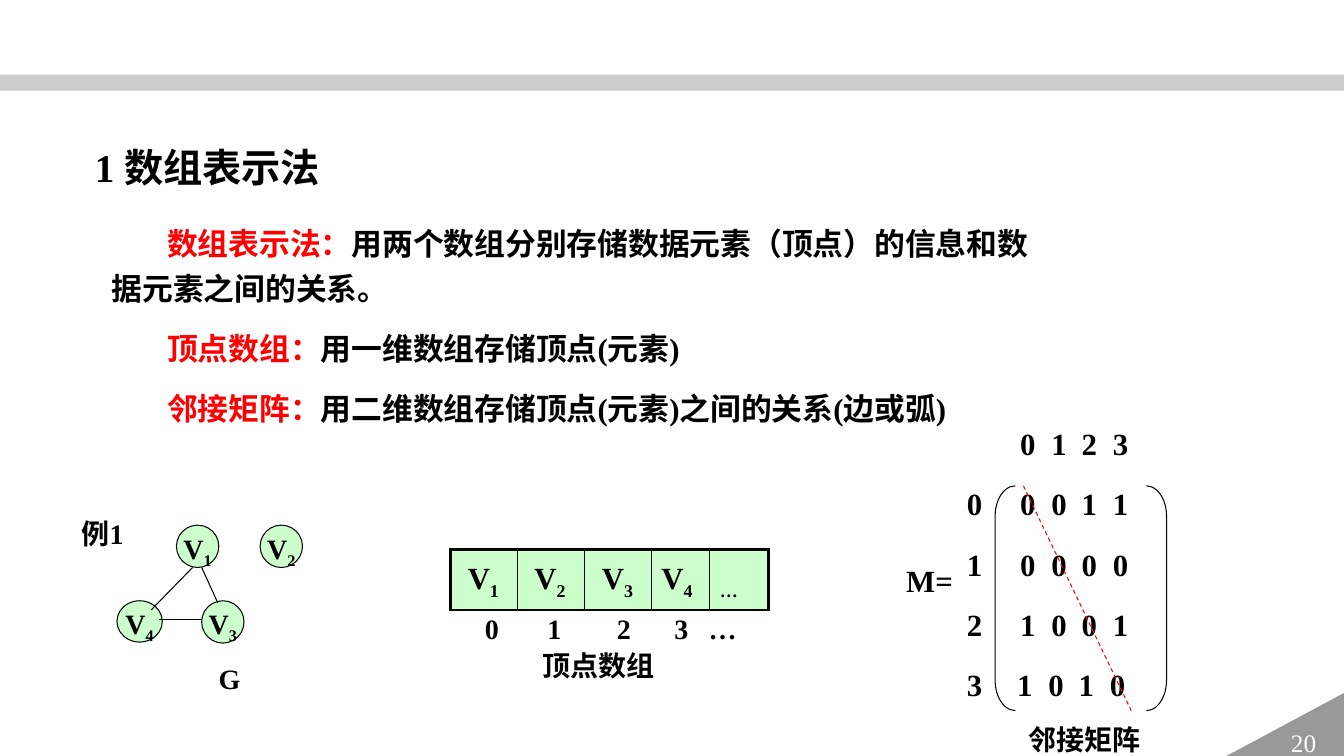
from dataclasses import dataclass
from typing import Optional, Sequence

from lxml.etree import SubElement
from pptx import Presentation
from pptx.dml.color import RGBColor
from pptx.enum.dml import MSO_LINE
from pptx.enum.shapes import MSO_CONNECTOR, MSO_SHAPE
from pptx.enum.text import MSO_ANCHOR, MSO_AUTO_SIZE, PP_ALIGN
from pptx.oxml.ns import qn
from pptx.util import Emu, Pt

PX = 9144  # 100 px to the inch
FONT = "Times New Roman"
BLACK, WHITE, RED, GREEN = "000000", "FFFFFF", "FF0000", "CCFFCC"


@dataclass(frozen=True)
class Box:
    left: int
    top: int
    width: int
    height: int


@dataclass(frozen=True)
class Piece:
    text: str
    color: str = BLACK
    subscript: bool = False


@dataclass(frozen=True)
class Line:
    pieces: Sequence[Piece]
    tabs: Sequence[int] = ()
    indent: int = 0


@dataclass(frozen=True)
class Vertex:
    number: int
    box: Box


@dataclass(frozen=True)
class Edge:
    x1: int
    y1: int
    x2: int
    y2: int


@dataclass(frozen=True)
class Label:
    text: str
    box: Box
    size: int = 20
    wrap: bool = False
    tabs: Sequence[int] = ()


def px(length: int) -> Emu:
    return Emu(length * PX)


def place(box: Box) -> tuple:
    return px(box.left), px(box.top), px(box.width), px(box.height)


def rgb(color: str) -> RGBColor:
    return RGBColor.from_string(color)


def vertex_name(number: int) -> Line:
    return Line([Piece("V"), Piece(str(number), subscript=True)])


def write(frame, lines: Sequence[Line], size: int = 20, bold: bool = True,
          align=PP_ALIGN.LEFT, spacing: float = 1.2, gap: float = 0.26) -> None:
    """Fill a text frame; the gap around paragraphs is a share of the size."""
    for index, line in enumerate(lines):
        paragraph = frame.paragraphs[0] if index == 0 else frame.add_paragraph()
        paragraph.alignment = align
        paragraph.line_spacing = spacing
        paragraph.space_before = Pt(size * gap if index else 0)
        paragraph.space_after = Pt(size * gap)
        properties = paragraph._p.get_or_add_pPr()
        if line.indent:
            properties.set("marL", "0")
            properties.set("indent", str(px(line.indent)))
        if line.tabs:
            tab_list = SubElement(properties, qn("a:tabLst"))
            for stop in line.tabs:
                SubElement(tab_list, qn("a:tab"), pos=str(px(stop)), algn="l")
        for piece in line.pieces:
            run = paragraph.add_run()
            run.text = piece.text
            run.font.name, run.font.size, run.font.bold = FONT, Pt(size), bold
            run.font.color.rgb = rgb(piece.color)
            if piece.subscript:
                run.font._element.set("baseline", "-25000")


def add_text(slide, box: Box, lines: Sequence[Line], wrap: bool = True, **text_format) -> None:
    frame = slide.shapes.add_textbox(*place(box)).text_frame
    frame.word_wrap = wrap
    write(frame, lines, **text_format)


def add_figure(slide, kind, box: Box, fill: Optional[str] = None, line: Optional[str] = None):
    shape = slide.shapes.add_shape(kind, *place(box))
    shape.shadow.inherit = False
    if fill:
        shape.fill.solid()
        shape.fill.fore_color.rgb = rgb(fill)
    else:
        shape.fill.background()
    if line:
        shape.line.color.rgb = rgb(line)
        shape.line.width = Pt(0.75)
    else:
        shape.line.fill.background()
    return shape


def add_edge(slide, edge: Edge, color: str = BLACK, dashed: bool = False) -> None:
    connector = slide.shapes.add_connector(
        MSO_CONNECTOR.STRAIGHT, px(edge.x1), px(edge.y1), px(edge.x2), px(edge.y2))
    connector.line.color.rgb = rgb(color)
    connector.line.width = Pt(0.75)
    if dashed:
        connector.line.dash_style = MSO_LINE.DASH
    SubElement(connector._element.spPr, qn("a:effectLst"))


def add_border(cell, side: str, width: float) -> None:
    border = SubElement(cell._tc.get_or_add_tcPr(), qn(f"a:ln{side}"), w=str(Pt(width)))
    SubElement(SubElement(border, qn("a:solidFill")), qn("a:srgbClr"), val=BLACK)


def add_vertex_array(slide, box: Box, widths: Sequence[int]) -> None:
    last = len(widths) - 1
    table = slide.shapes.add_table(1, len(widths), *place(box)).table
    table.first_row = table.horz_banding = False
    table.rows[0].height = px(box.height)
    for index, width in enumerate(widths):
        table.columns[index].width = px(width)
        cell = table.cell(0, index)
        add_border(cell, "L", 1 if index else 2.25)
        add_border(cell, "R", 1 if index < last else 2.25)
        add_border(cell, "T", 2.25)
        add_border(cell, "B", 2.25)
        cell.fill.solid()
        cell.fill.fore_color.rgb = rgb(GREEN)
        cell.margin_left = px(17 if index < 3 else 10)
        ellipsis = Line([Piece("…", subscript=True)])
        write(cell.text_frame, [vertex_name(index + 1) if index < last else ellipsis], size=22)


VERTICES = [Vertex(1, Box(175, 521, 42, 42)), Vertex(4, Box(116, 596, 45, 41)),
            Vertex(3, Box(200, 596, 42, 42)), Vertex(2, Box(258, 521, 42, 42))]
EDGES = [Edge(191, 563, 150, 605), Edge(200, 563, 216, 598), Edge(158, 615, 200, 615)]
LABELS = [Label("G", Box(207, 645, 42, 47)),
          Label("例1", Box(71, 501, 62, 47), wrap=True),
          Label("M=", Box(889, 545, 67, 51), size=22),
          Label("邻接矩阵", Box(1010, 705, 132, 47)),
          Label("顶点数组", Box(528, 632, 132, 47)),
          Label("0\t1\t2\t3\t…", Box(471, 595, 301, 50), wrap=True, tabs=(62, 131, 188, 222))]
MATRIX = [("", "0123", 53), ("0", "0011", 53), ("1", "0000", 53),
          ("2", "1001", 53), ("3", "1010", 50)]
DEFINITIONS = [("数组表示法：", "用两个数组分别存储数据元素（顶点）的信息和数据元素之间的关系。"),
               ("顶点数组：", "用一维数组存储顶点(元素)"),
               ("邻接矩阵：", "用二维数组存储顶点(元素)之间的关系(边或弧)")]


def main() -> None:
    presentation = Presentation()
    presentation.slide_width, presentation.slide_height = px(1333), px(750)
    slide = presentation.slides.add_slide(presentation.slide_layouts[5])

    # Header band and page number corner
    band = add_figure(slide, MSO_SHAPE.RECTANGLE, Box(0, 74, 1333, 16), "A6A6A6")
    band_color = band._element.spPr.find(qn("a:solidFill")).find(qn("a:srgbClr"))
    SubElement(band_color, qn("a:alpha"), val="56000")
    corner = add_figure(slide, MSO_SHAPE.RIGHT_TRIANGLE, Box(1211, 687, 123, 66), "999999")
    corner._element.spPr.xfrm.set("flipH", "1")
    write(corner.text_frame, [Line([Piece("20", WHITE)])], size=18, bold=False,
          align=PP_ALIGN.CENTER, spacing=1.0, gap=0)

    # Title and definitions
    title = slide.shapes.title
    title.left, title.top, title.width, title.height = place(Box(84, 128, 627, 67))
    title.text_frame.auto_size = MSO_AUTO_SIZE.NONE
    title.text_frame.vertical_anchor = MSO_ANCHOR.TOP
    write(title.text_frame, [Line([Piece("1 数组表示法")])], size=28)
    add_text(slide, Box(101, 211, 954, 231),
             [Line([Piece(term, RED), Piece(meaning)], indent=55)
              for term, meaning in DEFINITIONS], size=22)

    # Graph
    for vertex in VERTICES:
        circle = add_figure(slide, MSO_SHAPE.OVAL, vertex.box, GREEN, BLACK)
        circle.text_frame.word_wrap = False
        write(circle.text_frame, [vertex_name(vertex.number)], align=PP_ALIGN.CENTER)
    for edge in EDGES:
        add_edge(slide, edge)

    # Vertex array
    add_vertex_array(slide, Box(447, 545, 315, 50), (66, 67, 66, 58, 58))

    # Adjacency matrix with brackets and diagonal
    rows = [Line([Piece("\t".join([name, *values]))],
                 tabs=[start + round(30.6 * column) for column in range(4)])
            for name, values, start in MATRIX]
    add_text(slide, Box(949, 409, 232, 309), rows, size=22)
    for kind, left in ((MSO_SHAPE.LEFT_BRACKET, 987), (MSO_SHAPE.RIGHT_BRACKET, 1137)):
        add_figure(slide, kind, Box(left, 482, 20, 223), line=BLACK).adjustments[0] = 1.5
    add_edge(slide, Edge(1015, 482, 1122, 705), RED, dashed=True)

    # Labels
    for label in LABELS:
        add_text(slide, label.box, [Line([Piece(label.text)], tabs=label.tabs)],
                 wrap=label.wrap, size=label.size)

    presentation.save("out.pptx")


if __name__ == "__main__":
    main()
